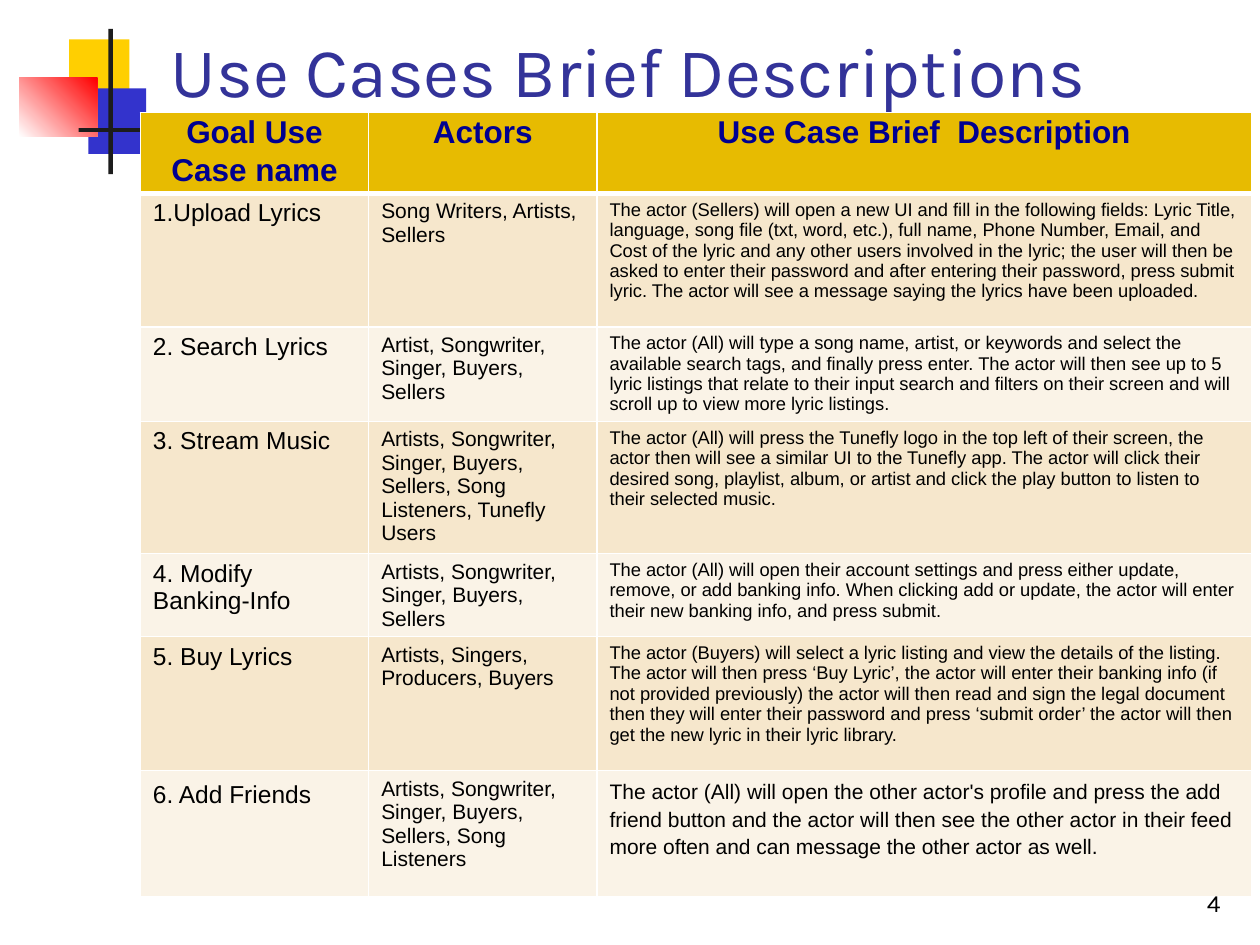
from lxml.etree import SubElement
from pptx import Presentation
from pptx.dml.color import RGBColor
from pptx.enum.shapes import MSO_SHAPE as Shape
from pptx.enum.text import MSO_ANCHOR as Anchor, PP_ALIGN as Align
from pptx.oxml.ns import qn
from pptx.util import Pt

COLORS = {
    "yellow": "FFCF01", "blue": "3333CC", "red": "FF0000", "ink": "1C1C1C",
    "white": "FFFFFF", "title": "333399", "black": "000000",
    "header": "E7BB01", "header_text": "000090",
    "odd_row": "F6E7CC", "even_row": "FAF3E7",
}

COLUMN_WIDTHS = [130.5, 130.5, 374]
ROW_HEIGHTS = [46, 76.3, 53.7, 74.6, 47.4, 76.6, 72.3]
BODY_SIZES = [14, 12, 10.5]
HEADINGS = ["Goal Use Case name", "Actors", "Use Case Brief  Description"]
USE_CASES = [
    ["1.Upload Lyrics", "Song Writers, Artists, Sellers",
     "The actor (Sellers) will open a new UI and fill in the following fields: Lyric Title, "
     "language, song file (txt, word, etc.), full name, Phone Number, Email, and Cost of the "
     "lyric and any other users involved in the lyric; the user will then be asked to enter "
     "their password and after entering their password, press submit lyric. The actor will "
     "see a message saying the lyrics have been uploaded."],
    ["2. Search Lyrics", "Artist, Songwriter, Singer, Buyers, Sellers",
     "The actor (All) will type a song name, artist, or keywords and select the available "
     "search tags, and finally press enter. The actor will then see up to 5 lyric listings "
     "that relate to their input search and filters on their screen and will scroll up to "
     "view more lyric listings."],
    ["3. Stream Music",
     "Artists, Songwriter, Singer, Buyers, Sellers, Song Listeners, Tunefly Users",
     "The actor (All) will press the Tunefly logo in the top left of their screen, the actor "
     "then will see a similar UI to the Tunefly app. The actor will click their desired song, "
     "playlist, album, or artist and click the play button to listen to their selected music."],
    ["4. Modify Banking-Info", "Artists, Songwriter, Singer, Buyers, Sellers",
     "The actor (All) will open their account settings and press either update, remove, or "
     "add banking info. When clicking add or update, the actor will enter their new banking "
     "info, and press submit."],
    ["5. Buy Lyrics", "Artists, Singers, Producers, Buyers",
     "The actor (Buyers) will select a lyric listing and view the details of the listing. The "
     "actor will then press ‘Buy Lyric’, the actor will enter their banking info (if not "
     "provided previously) the actor will then read and sign the legal document then they "
     "will enter their password and press ‘submit order’ the actor will then get the new "
     "lyric in their lyric library."],
    ["6. Add Friends", "Artists, Songwriter, Singer, Buyers, Sellers, Song Listeners",
     "The actor (All) will open the other actor's profile and press the add friend button and "
     "the actor will then see the other actor in their feed more often and can message the "
     "other actor as well."],
]


def rgb(name):
    return RGBColor.from_string(COLORS[name])


def write(frame, text, size, font="Arial", color="black", bold=False,
          align=Align.LEFT, spacing=None, after=None):
    paragraph = frame.paragraphs[0]
    paragraph.alignment = align
    if spacing:
        paragraph.line_spacing = spacing
    if after:
        paragraph.space_after = Pt(after)
    run = paragraph.add_run()
    run.text = text
    run.font.name, run.font.size, run.font.bold = font, Pt(size), bold
    run.font.color.rgb = rgb(color)


def set_borders(cell, bottom=1):
    """Give a cell white edges, 1 pt wide except perhaps the bottom one."""
    properties = cell._tc.get_or_add_tcPr()
    for index, (edge, width) in enumerate(
            [("lnL", 1), ("lnR", 1), ("lnT", 1), ("lnB", bottom)]):
        line = SubElement(properties, qn(f"a:{edge}"), w=str(Pt(width)))
        SubElement(SubElement(line, qn("a:solidFill")), qn("a:srgbClr"),
                   val=COLORS["white"])
        properties.insert(index, line)


class Deck:
    """Holds the slide in progress and its heading font."""

    heading_font = "Karla"

    def __init__(self, width, height):
        self.presentation = Presentation()
        self.presentation.slide_width = Pt(width)
        self.presentation.slide_height = Pt(height)
        self.slide = self.presentation.slides.add_slide(
            self.presentation.slide_layouts[6])

    def block(self, left, top, width, height, color, fade_to=None, angle=0):
        shape = self.slide.shapes.add_shape(
            Shape.RECTANGLE, Pt(left), Pt(top), Pt(width), Pt(height))
        shape.shadow.inherit = False
        shape.line.fill.background()
        if fade_to:
            shape.fill.gradient()
            shape.fill.gradient_angle = angle
            for stop, name, place in zip(shape.fill.gradient_stops, (color, fade_to), (0, 1)):
                stop.color.rgb = rgb(name)
                stop.position = place
        else:
            shape.fill.solid()
            shape.fill.fore_color.rgb = rgb(color)

    def text(self, left, top, width, height, content, **style):
        frame = self.slide.shapes.add_textbox(
            Pt(left), Pt(top), Pt(width), Pt(height)).text_frame
        frame.word_wrap = True
        frame.vertical_anchor = Anchor.BOTTOM
        write(frame, content, font=self.heading_font, **style)

    def use_case_table(self, left, top):
        table = self.slide.shapes.add_table(
            len(ROW_HEIGHTS), len(COLUMN_WIDTHS), Pt(left), Pt(top),
            Pt(sum(COLUMN_WIDTHS)), Pt(sum(ROW_HEIGHTS))).table
        for column, width in zip(table.columns, COLUMN_WIDTHS):
            column.width = Pt(width)
        for row, height in zip(table.rows, ROW_HEIGHTS):
            row.height = Pt(height)
        for index, heading in enumerate(HEADINGS):
            cell = table.cell(0, index)
            self.fill_cell(cell, "header", bottom=3)
            cell.margin_left = cell.margin_right = Pt(5)
            cell.margin_top = 0
            write(cell.text_frame, heading, 18, color="header_text", bold=True,
                  align=Align.CENTER, spacing=1.07)
        for number, use_case in enumerate(USE_CASES, 1):
            is_last = number == len(USE_CASES)
            sizes = [14, 12, 12] if is_last else BODY_SIZES
            for index, (content, size) in enumerate(zip(use_case, sizes)):
                cell = table.cell(number, index)
                self.fill_cell(cell, "odd_row" if number % 2 else "even_row")
                loose = {"spacing": 1.16, "after": 8} if is_last and index != 1 else {}
                write(cell.text_frame, content, size, **loose)

    def fill_cell(self, cell, color, bottom=1):
        """Colour and edge a cell, with no bottom margin so that rows keep their height."""
        set_borders(cell, bottom)
        cell.margin_bottom = 0
        cell.fill.solid()
        cell.fill.fore_color.rgb = rgb(color)


def main():
    deck = Deck(720, 540)
    deck.block(39.5, 22.5, 34.5, 37.5, "yellow")
    deck.block(50.5, 50.5, 33, 37.5, "blue")
    deck.block(11, 44.5, 44.5, 33.5, "white", fade_to="red", angle=45)
    deck.block(62, 16.5, 2.5, 83, "ink")
    deck.block(45, 73.2, 36, 2.2, "ink")
    deck.text(90.5, 16.5, 613.5, 50.5, "Use Cases Brief Descriptions", size=40, color="title")
    deck.use_case_table(80.2, 64.3)
    deck.text(554.5, 492, 150, 36, "4", size=14, align=Align.RIGHT)
    deck.presentation.save("out.pptx")


if __name__ == "__main__":
    main()
